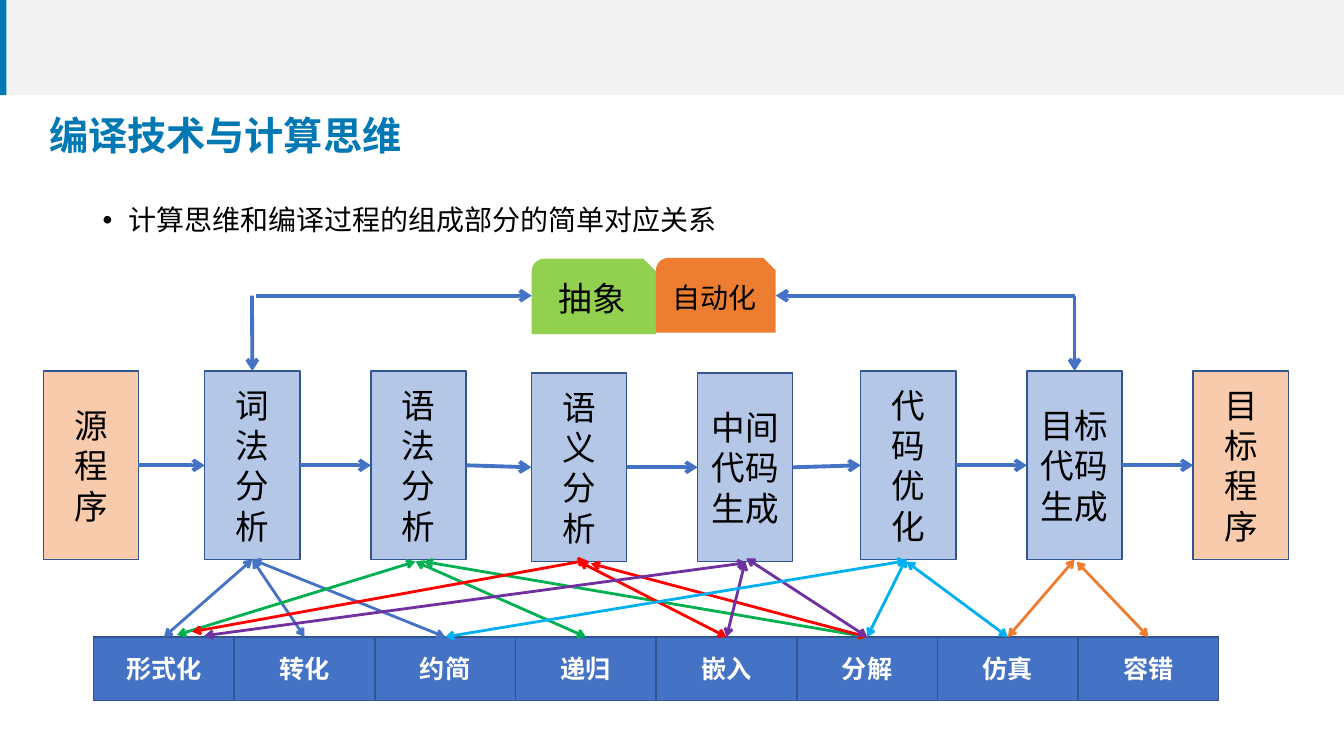
from lxml.etree import SubElement
from pptx import Presentation
from pptx.dml.color import RGBColor
from pptx.enum.lang import MSO_LANGUAGE_ID as Language
from pptx.enum.shapes import MSO_CONNECTOR as Link, MSO_SHAPE as Preset
from pptx.enum.text import MSO_ANCHOR as Anchor, PP_ALIGN as Align
from pptx.oxml.ns import qn
from pptx.util import Cm, Pt

COLORS = {
    "band": "D9D9D9", "accent": "0078B4", "black": "000000", "white": "FFFFFF",
    "outline": "325491", "program": "F8CBAD", "phase": "B4C7E7",
    "blue": "4472C4", "lime": "92D050", "orange": "ED7D31",
    "green": "00B050", "red": "FF0000", "purple": "7030A0", "sky": "00B0F0",
}
HAN_FONT = "Noto Sans CJK SC"
TOP, LEFT, BOTTOM, RIGHT = range(4)

STAGES = [
    (1.09, 9.35, "program", list("源程序")),
    (5.16, 9.35, "phase", list("词法分析")),
    (9.35, 9.35, "phase", list("语法分析")),
    (13.39, 9.4, "phase", list("语义分析")),
    (17.58, 9.4, "phase", ["中间代码生成"]),
    (21.69, 9.35, "phase", list("代码优化")),
    (25.88, 9.35, "phase", ["目标代码生成"]),
    (30.07, 9.35, "program", list("目标程序")),
]
CONCEPTS = ["形式化", "转化", "约简", "递归", "嵌入", "分解", "仿真", "容错"]
RELATIONS = [
    (1, 0, "blue", None, None),
    (1, 1, "blue", None, None),
    (1, 2, "blue", None, None),
    (2, 0, "green", (-0.08, 0.05), (0.33, -0.05)),
    (2, 3, "green", (-0.08, 0.05), None),
    (2, 5, "green", (0.13, 0.05), None),
    (3, 0, "red", (0.2, -0.03), (0.71, -0.13)),
    (3, 4, "red", None, None),
    (3, 5, "red", (0.3, 0.05), None),
    (4, 0, "purple", (0.03, 0.03), (1.02, -0.03)),
    (4, 4, "purple", None, None),
    (4, 5, "purple", (0.03, -0.08), None),
    (5, 2, "sky", (-0.05, 0.03), None),
    (5, 5, "sky", (-0.05, -0.03), None),
    (5, 6, "sky", (-0.05, 0.05), None),
    (6, 6, "orange", None, None),
    (6, 7, "orange", (0.05, 0.05), None),
]


def rgb(color):
    return RGBColor.from_string(COLORS[color])


def add_run(paragraph, text, size, color, face="Calibri", bold=False):
    run = paragraph.add_run()
    run.text = text
    font = run.font
    font.size, font.bold, font.name = Pt(size), bold, face
    font.color.rgb = rgb(color)
    font.language_id = Language.SIMPLIFIED_CHINESE
    SubElement(font._element, qn("a:ea"), typeface=face)


def add_block(slide, box, fill, lines=(), size=24, color="black", bold=False,
              outline=None, preset=Preset.RECTANGLE):
    block = slide.shapes.add_shape(preset, *map(Cm, box))
    block.shadow.inherit = False
    block.fill.solid()
    block.fill.fore_color.rgb = rgb(fill)
    if outline:
        block.line.color.rgb = rgb(outline)
        block.line.width = Pt(1)
    else:
        block.line.fill.background()
    frame = block.text_frame
    frame.word_wrap = True
    frame.vertical_anchor = Anchor.MIDDLE
    for index, text in enumerate(lines):
        paragraph = frame.add_paragraph() if index else frame.paragraphs[0]
        paragraph.alignment = Align.CENTER
        add_run(paragraph, text, size, color, bold=bold)
    return block


def add_text(slide, box, anchor):
    frame = slide.shapes.add_textbox(*map(Cm, box)).text_frame
    frame.word_wrap = True
    frame.vertical_anchor = anchor
    return frame.paragraphs[0]


def add_arrow(slide, start, end, color="blue", width=2.75, ends=("tailEnd",)):
    joins = [isinstance(spot[1], int) and not isinstance(spot[0], int)
             for spot in (start, end)]
    points = [(0, 0) if joined else spot for joined, spot in zip(joins, (start, end))]
    arrow = slide.shapes.add_connector(Link.STRAIGHT, *points[0], *points[1])
    if joins[0]:
        arrow.begin_connect(*start)
    if joins[1]:
        arrow.end_connect(*end)
    arrow.line.color.rgb = rgb(color)
    arrow.line.width = Pt(width)
    outline = arrow.line._get_or_add_ln()
    for tip in ends:
        SubElement(outline, qn(f"a:{tip}"), type="arrow")
    SubElement(arrow._element.spPr, qn("a:effectLst"))


def spot_on(block, side, shift):
    if shift is None:
        return block, side
    edge = block.top + (block.height if side == BOTTOM else 0)
    return block.left + block.width // 2 + Cm(shift[0]), edge + Cm(shift[1])


def add_header(slide):
    band = add_block(slide, (0, 0, 33.87, 2.4), "band")
    band_color = band.fill._xPr.find(qn("a:solidFill"))[0]
    SubElement(band_color, qn("a:alpha"), val="30000")
    add_block(slide, (0, 0, 0.16, 2.4), "accent")
    title = add_text(slide, (0.99, 1.57, 29.21, 3.68), Anchor.MIDDLE)
    add_run(title, "编译技术与计算思维", 28, "accent", HAN_FONT, True)
    summary = add_text(slide, (2.34, 5.08, 29.21, 1.73), Anchor.TOP)
    summary.line_spacing = 0.9
    layout = summary._p.get_or_add_pPr()
    layout.set("marL", str(Cm(0.64)))
    layout.set("indent", str(Cm(-0.64)))
    SubElement(layout, qn("a:buFont"), typeface="Arial")
    SubElement(layout, qn("a:buChar"), char="•")
    add_run(summary, "计算思维和编译过程的组成部分的简单对应关系", 20, "black", HAN_FONT)


def add_stages(slide):
    stages = [add_block(slide, (left, top, 2.4, 4.75), fill, lines, outline="outline")
              for left, top, fill, lines in STAGES]
    for current, following in zip(stages, stages[1:]):
        add_arrow(slide, (current, RIGHT), (following, LEFT))
    return stages


def add_principles(slide, lexer, generator):
    level = Cm(7.45)
    add_block(slide, (13.4, 6.52, 3.13, 1.9), "lime", ["抽象"],
              preset=Preset.SNIP_ROUND_RECTANGLE)
    add_block(slide, (16.53, 6.5, 3.02, 1.88), "orange", ["自动化"], 20,
              preset=Preset.SNIP_ROUND_RECTANGLE)
    add_arrow(slide, (Cm(6.35), level), (lexer, TOP))
    add_arrow(slide, (Cm(6.45), level), (Cm(13.4), level))
    add_arrow(slide, (Cm(27.08), level), (Cm(19.55), level))
    add_arrow(slide, (Cm(27.08), level), (generator, TOP))


def add_concepts(slide):
    return [add_block(slide, (2.36 + 3.545 * column, 16.05, 3.54, 1.6), "blue",
                      [name], 18, "white", True, "outline")
            for column, name in enumerate(CONCEPTS)]


def main():
    deck = Presentation()
    deck.slide_width, deck.slide_height = Cm(33.87), Cm(19.05)
    slide = deck.slides.add_slide(deck.slide_layouts[6])
    add_header(slide)
    stages = add_stages(slide)
    add_principles(slide, stages[1], stages[6])
    concepts = add_concepts(slide)
    for stage, concept, color, start_shift, end_shift in RELATIONS:
        add_arrow(slide, spot_on(stages[stage], BOTTOM, start_shift),
                  spot_on(concepts[concept], TOP, end_shift),
                  color, 2, ("headEnd", "tailEnd"))
    deck.save("out.pptx")


if __name__ == "__main__":
    main()
